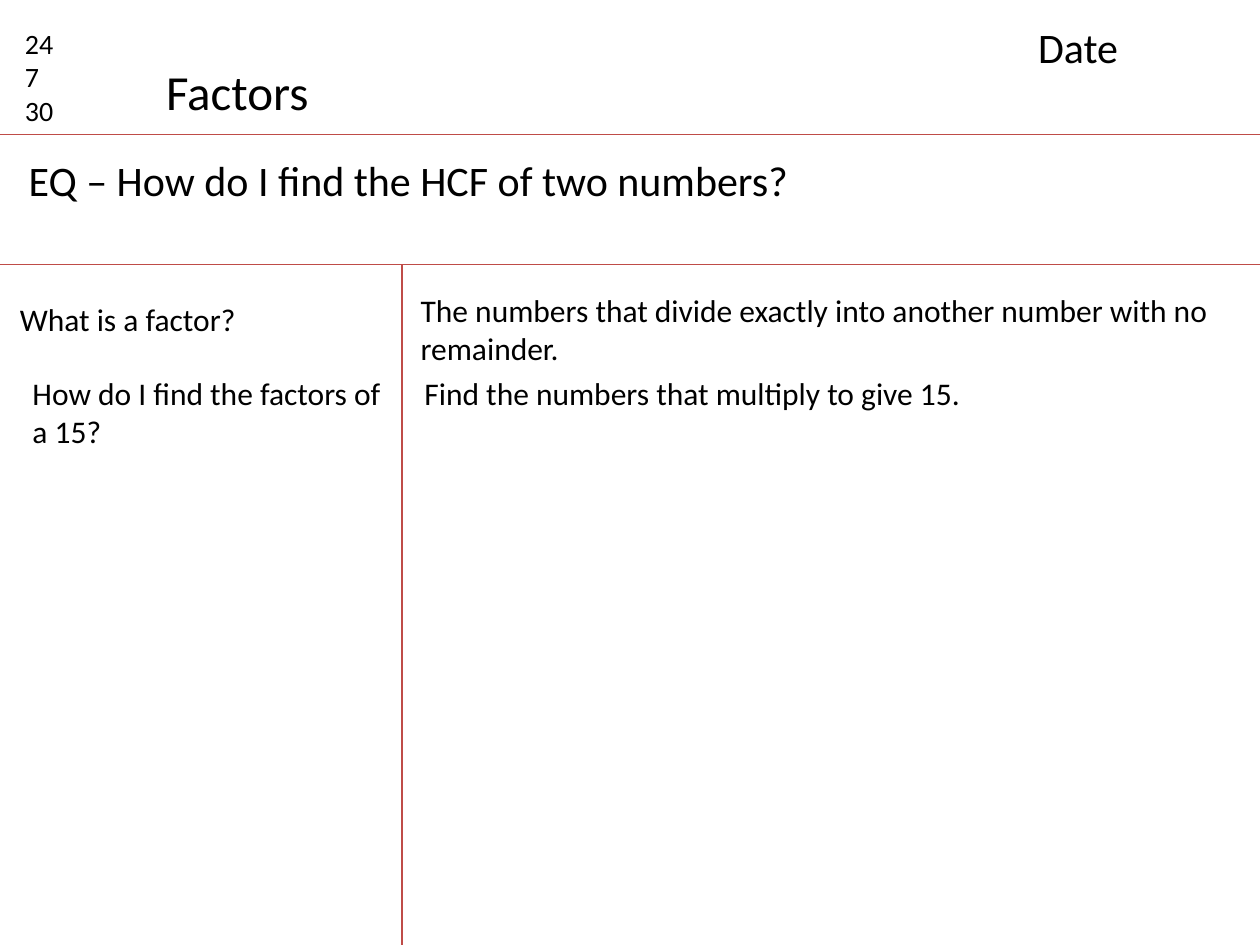
from dataclasses import dataclass

from lxml import etree
from pptx import Presentation
from pptx.dml.color import RGBColor
from pptx.enum.shapes import MSO_CONNECTOR
from pptx.enum.text import MSO_AUTO_SIZE
from pptx.oxml.ns import qn
from pptx.util import Inches, Pt

STRAIGHT = MSO_CONNECTOR.STRAIGHT
GROW_TO_TEXT = MSO_AUTO_SIZE.SHAPE_TO_FIT_TEXT


@dataclass(frozen=True)
class Theme:
    font: str = "Calibri"
    text: RGBColor = RGBColor(0x00, 0x00, 0x00)
    rule: RGBColor = RGBColor(0xBF, 0x4C, 0x48)
    rule_width: float = 0.75
    title_size: int = 28
    heading_size: int = 24
    body_size: int = 18
    starter_size: int = 16


THEME = Theme()
SLIDE_WIDTH, SLIDE_HEIGHT = 10, 7.5
HEADER_BOTTOM = 1.07
NOTES_TOP, NOTES_BOTTOM = 2.1, 7.69
CUE_COLUMN_RIGHT = 3.19
SECOND_ROW_TOP = 2.92


def add_rule(slide, x1, y1, x2, y2):
    rule = slide.shapes.add_connector(
        STRAIGHT, Inches(x1), Inches(y1), Inches(x2), Inches(y2)
    )
    rule.line.color.rgb = THEME.rule
    rule.line.width = Pt(THEME.rule_width)
    etree.SubElement(rule._element.spPr, qn("a:effectLst"))


def add_text(slide, lines, size, left, top, width, height, wrap=True):
    """Add a text box with one paragraph for each line."""
    box = slide.shapes.add_textbox(
        Inches(left), Inches(top), Inches(width), Inches(height)
    )
    frame = box.text_frame
    frame.word_wrap = wrap
    frame.auto_size = GROW_TO_TEXT
    frame.text = "\n".join(lines)
    for para in frame.paragraphs:
        para.font.name = THEME.font
        para.font.size = Pt(size)
        para.font.color.rgb = THEME.text


def add_header(slide):
    add_text(slide, ["24", "7", "30"], THEME.starter_size, 0.1, 0.16, 0.63, 0.91)
    add_text(slide, ["Factors"], THEME.title_size, 1.22, 0.44, 1.34, 0.57, wrap=False)
    add_text(slide, ["Date"], THEME.heading_size, 8.14, 0.12, 1.73, 0.5)
    add_text(slide, ["EQ – How do I find the HCF of two numbers?"],
             THEME.heading_size, 0.13, 1.18, 9.43, 0.5)


def add_notes_grid(slide):
    for y in (HEADER_BOTTOM, NOTES_TOP):
        add_rule(slide, 0, y, SLIDE_WIDTH, y)
    add_rule(slide, CUE_COLUMN_RIGHT, NOTES_TOP, CUE_COLUMN_RIGHT, NOTES_BOTTOM)


def add_questions_and_answers(slide):
    size = THEME.body_size
    add_text(slide, ["What is a factor?"], size, 0.06, 2.33, 1.93, 0.4, wrap=False)
    add_text(slide,
             ["The numbers that divide exactly into another number with no remainder."],
             size, 3.24, 2.26, 6.63, 1.31)
    add_text(slide, ["How do I find the factors of a 15?"],
             size, 0.16, SECOND_ROW_TOP, 3.03, 0.71)
    add_text(slide, ["Find the numbers that multiply to give 15."],
             size, 3.27, SECOND_ROW_TOP, 4.51, 0.4, wrap=False)


def main():
    deck = Presentation()
    deck.slide_width = Inches(SLIDE_WIDTH)
    deck.slide_height = Inches(SLIDE_HEIGHT)
    slide = deck.slides.add_slide(deck.slide_layouts[6])
    add_notes_grid(slide)
    add_header(slide)
    add_questions_and_answers(slide)
    deck.save("out.pptx")


if __name__ == "__main__":
    main()
